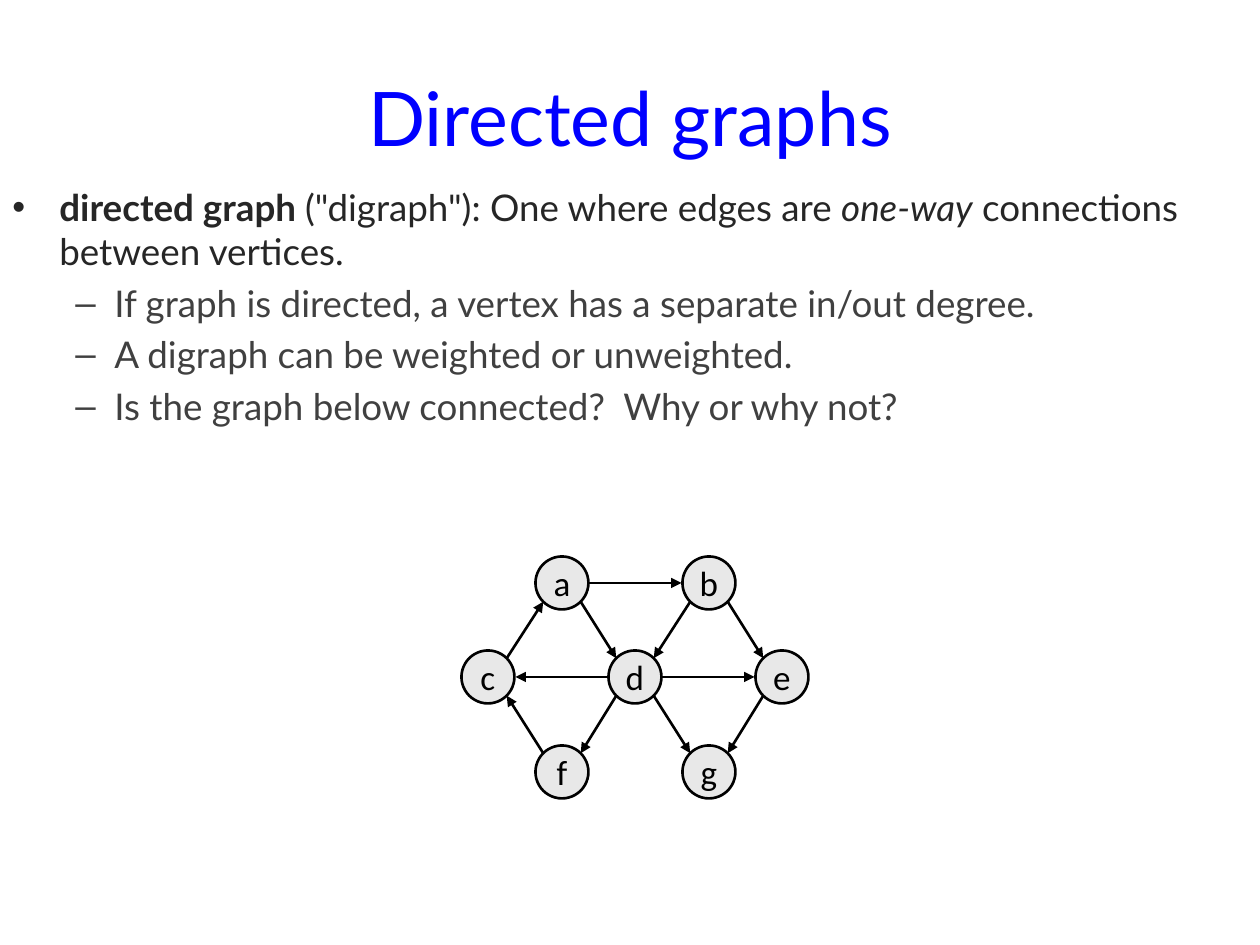
import math
from dataclasses import dataclass

from lxml import etree
from pptx import Presentation
from pptx import util as u
from pptx.dml.color import RGBColor
from pptx.enum import shapes, text
from pptx.oxml import ns

EMU_PER_PX = 914400 / 126
COLORS = {"title": "0000FF", "definition": "262626", "detail": "404040",
          "vertex": "E8E8E8", "ink": "000000"}
DIAMETER = 53
GAP = 1  # space between a vertex outline and a horizontal edge


@dataclass(frozen=True)
class Vertex:
    label: str
    x: int  # centre
    y: int


@dataclass(frozen=True)
class Level:
    bullet: str
    margin: int
    hanging: int
    color: str


@dataclass(frozen=True)
class Point:
    level: Level
    phrases: tuple[tuple[str, str], ...]  # wording and emphasis


MAIN = Level("•", 47, 47, "definition")
SUB = Level("–", 102, 39, "detail")
POINTS = [
    Point(MAIN, (("directed graph ", "bold"),
                 ('("digraph"): One where edges are ', ""),
                 ("one-way", "italic"),
                 (" connections between vertices.", ""))),
    Point(SUB, (("If graph is directed, a vertex has a separate in/out degree.", ""),)),
    Point(SUB, (("A digraph can be weighted or unweighted.", ""),)),
    Point(SUB, (("Is the graph below connected?  Why or why not?", ""),)),
]

# Three rows of vertices on five columns
COLUMNS = (488, 562, 635, 709, 782)
ROWS = ((583, {"a": 1, "b": 3}), (677, {"c": 0, "d": 2, "e": 4}), (772, {"f": 1, "g": 3}))
VERTICES = {label: Vertex(label, COLUMNS[column], y)
            for y, row in ROWS for label, column in row.items()}
EDGES = ("ca", "ab", "ad", "bd", "be", "de", "dg", "eg", "df", "fc", "dc")


def px(length: float) -> u.Emu:
    return u.Emu(round(length * EMU_PER_PX))


def rgb(name: str) -> RGBColor:
    return RGBColor.from_string(COLORS[name])


def style(run, font: str, size: int, color: str) -> None:
    run.font.name, run.font.size = font, u.Pt(size)
    run.font.color.rgb = rgb(color)


def add_title(slide, wording: str) -> None:
    frame = slide.shapes.add_textbox(px(63), px(38), px(1134), px(157)).text_frame
    frame.word_wrap = True
    frame.vertical_anchor = text.MSO_ANCHOR.MIDDLE
    frame.text = wording
    heading = frame.paragraphs[0]
    heading.alignment = text.PP_ALIGN.CENTER
    style(heading.runs[0], "Lato", 43, "title")


def set_bullet(paragraph, level: Level) -> None:
    props = paragraph._p.get_or_add_pPr()
    props.set("marL", str(px(level.margin)))
    props.set("indent", str(-px(level.hanging)))
    etree.SubElement(props, ns.qn("a:buFont"), typeface="Arial")
    etree.SubElement(props, ns.qn("a:buChar"), char=level.bullet)


def add_points(slide, points: list[Point]) -> None:
    frame = slide.shapes.add_textbox(px(0), px(179), px(1260), px(766)).text_frame
    frame.word_wrap = True
    for index, point in enumerate(points):
        paragraph = frame.add_paragraph() if index else frame.paragraphs[0]
        set_bullet(paragraph, point.level)
        if index:
            paragraph.level = 1
            paragraph.space_before = u.Pt(4.2)
        for wording, emphasis in point.phrases:
            run = paragraph.add_run()
            run.text = wording
            style(run, "Lato", 21, point.level.color)
            run.font.bold = emphasis == "bold"
            run.font.italic = emphasis == "italic"


def outline(line) -> None:
    line.color.rgb = rgb("ink")
    line.width = u.Pt(1.5)


def add_vertex(graph, vertex: Vertex) -> None:
    circle = graph.shapes.add_shape(
        shapes.MSO_SHAPE.OVAL, px(vertex.x - DIAMETER / 2),
        px(vertex.y - DIAMETER / 2), px(DIAMETER), px(DIAMETER))
    circle.shadow.inherit = False
    circle.fill.solid()
    circle.fill.fore_color.rgb = rgb("vertex")
    outline(circle.line)
    frame = circle.text_frame
    frame.word_wrap = False
    frame.vertical_anchor = text.MSO_ANCHOR.MIDDLE
    frame.text = vertex.label
    frame.paragraphs[0].alignment = text.PP_ALIGN.CENTER
    style(frame.paragraphs[0].runs[0], "Calibri", 20, "ink")


def add_edge(graph, source: Vertex, target: Vertex) -> None:
    """Join the facing sides, or the facing 45 degree points, of two vertices."""
    radius = DIAMETER / 2
    if source.y == target.y:
        dx, dy = math.copysign(radius + GAP, target.x - source.x), 0
    else:
        reach = radius * math.sqrt(0.5)
        dx = math.copysign(reach, target.x - source.x)
        dy = math.copysign(reach, target.y - source.y)
    arrow = graph.shapes.add_connector(
        shapes.MSO_CONNECTOR.STRAIGHT, px(source.x + dx), px(source.y + dy),
        px(target.x - dx), px(target.y - dy))
    outline(arrow.line)
    etree.SubElement(arrow.line._get_or_add_ln(), ns.qn("a:tailEnd"), type="triangle")
    etree.SubElement(arrow._element.spPr, ns.qn("a:effectLst"))


def main() -> None:
    deck = Presentation()
    deck.slide_width, deck.slide_height = px(1260), px(945)
    slide = deck.slides.add_slide(deck.slide_layouts[6])

    # Heading and explanation
    add_title(slide, "Directed graphs")
    add_points(slide, POINTS)

    # Example graph
    graph = slide.shapes.add_group_shape()
    for vertex in VERTICES.values():
        add_vertex(graph, vertex)
    for source, target in EDGES:
        add_edge(graph, VERTICES[source], VERTICES[target])

    deck.save("out.pptx")


if __name__ == "__main__":
    main()
